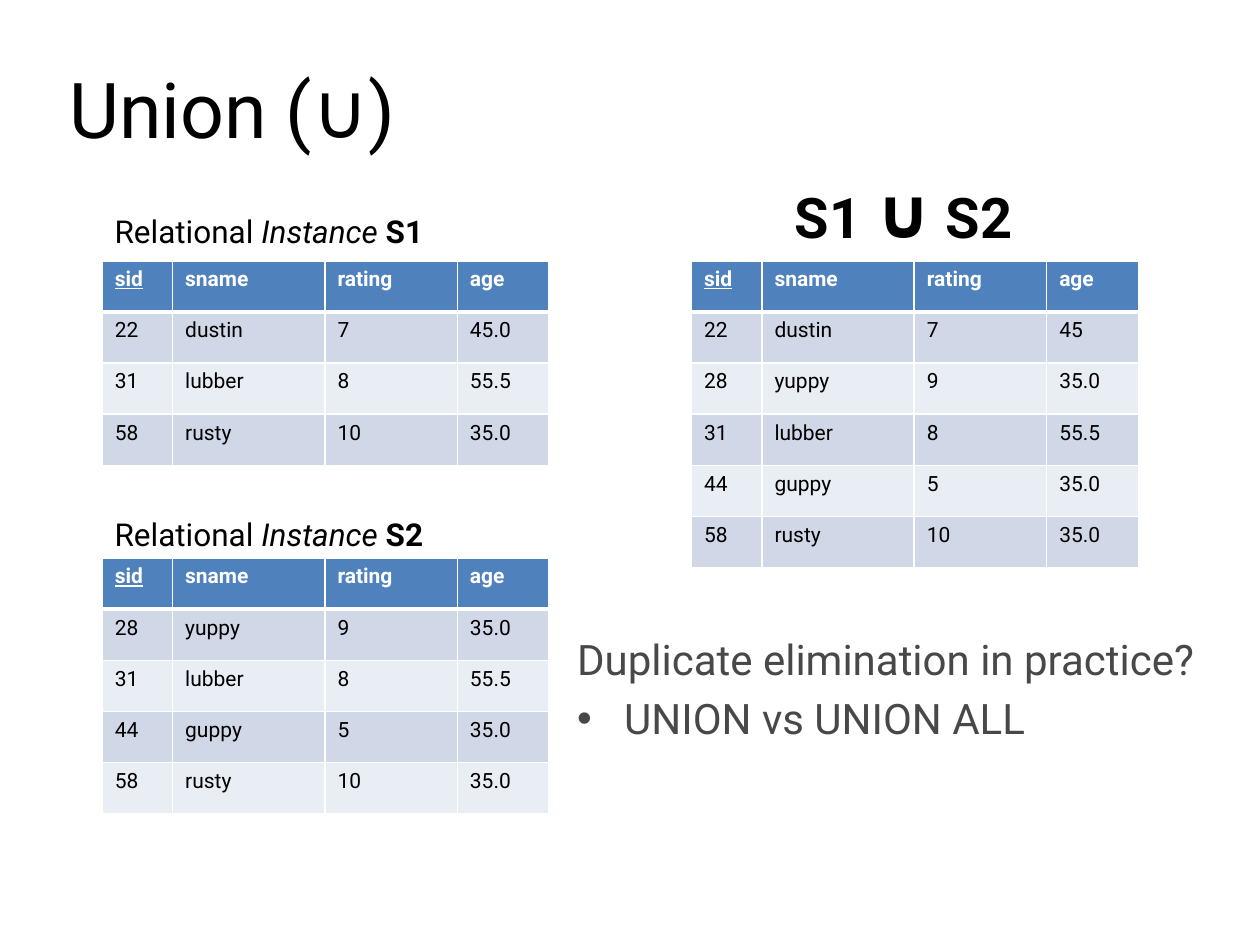
import dataclasses

import pptx
import pptx.dml.color
import pptx.enum.text
import pptx.oxml
import pptx.oxml.ns
import pptx.util

Cm = pptx.util.Cm
Pt = pptx.util.Pt


@dataclasses.dataclass(frozen=True)
class Theme:
    font: str = "Roboto"
    ink: str = "000000"
    muted: str = "484848"
    white: str = "FFFFFF"
    header: str = "4F81BD"
    bands: tuple = ("D0D8E8", "E9EDF4")
    title_size: int = 44
    symbol_size: int = 40
    heading_size: int = 32
    body_size: int = 24
    caption_size: int = 18
    cell_size: int = 12
    thin_line: int = 1
    thick_line: int = 3


THEME = Theme()
HEADINGS = ("sid", "sname", "rating", "age")
COLUMN_WIDTHS = (1.42, 3.07, 2.67, 1.85)
ROW_HEIGHT = 1.03

DUSTIN = ("22", "dustin", "7", "45.0")
YUPPY = ("28", "yuppy", "9", "35.0")
LUBBER = ("31", "lubber", "8", "55.5")
GUPPY = ("44", "guppy", "5", "35.0")
RUSTY = ("58", "rusty", "10", "35.0")
DUSTIN_IN_UNION = ("22", "dustin", "7", "45")


def rgb(value):
    return pptx.dml.color.RGBColor.from_string(value)


def add_span(para, text, size, color=THEME.ink, **formats):
    span = para.add_run()
    span.text = text
    span.font.color.rgb = rgb(color)
    formats = {"name": THEME.font, "size": Pt(size), "bold": False, **formats}
    for name, value in formats.items():
        setattr(span.font, name, value)


def place(shape, box):
    for name, value in zip(("left", "top", "width", "height"), box):
        setattr(shape, name, Cm(value))


def set_bullet(para, character=None, indent=0):
    """Give the paragraph a hanging bullet, or none."""
    properties = para._p.get_or_add_pPr()
    properties.set("marL", str(Cm(indent)))
    properties.set("indent", str(-Cm(indent)))
    tag = f'a:buChar char="{character}"' if character else "a:buNone"
    properties.append(pptx.oxml.parse_xml(
        f'<{tag} {pptx.oxml.ns.nsdecls("a")}/>'))


def set_borders(cell, bottom_width):
    properties = cell._tc.get_or_add_tcPr()
    for side in "LRTB":
        width = bottom_width if side == "B" else THEME.thin_line
        properties.append(pptx.oxml.parse_xml(
            f'<a:ln{side} {pptx.oxml.ns.nsdecls("a")} w="{Pt(width)}">'
            f'<a:solidFill><a:srgbClr val="{THEME.white}"/></a:solidFill>'
            f'</a:ln{side}>'))


def fill_title(page, box):
    title = page.shapes.title
    place(title, box)
    frame = title.text_frame
    frame.vertical_anchor = pptx.enum.text.MSO_ANCHOR.MIDDLE
    para = frame.paragraphs[0]
    para.alignment = pptx.enum.text.PP_ALIGN.LEFT
    add_span(para, "Union (∪)", THEME.title_size)


def fill_question(page, box):
    body = page.placeholders[1]
    place(body, box)
    frame = body.text_frame
    frame.auto_size = pptx.enum.text.MSO_AUTO_SIZE.NONE
    question = frame.paragraphs[0]
    set_bullet(question)
    add_span(question, "Duplicate elimination in practice?",
             THEME.body_size, THEME.muted)
    answer = frame.add_paragraph()
    set_bullet(answer, "•", 0.95)
    add_span(answer, "UNION vs UNION ALL", THEME.body_size, THEME.muted)


def add_label(page, box):
    """Add a one-line text box and return its paragraph."""
    label = page.shapes.add_textbox(*map(Cm, box))
    label.text_frame.word_wrap = False
    return label.text_frame.paragraphs[0]


def add_caption(page, box, instance):
    para = add_label(page, box)
    add_span(para, "Relational ", THEME.caption_size)
    add_span(para, "Instance ", THEME.caption_size, italic=True)
    add_span(para, instance, THEME.caption_size, bold=True)


def add_union_heading(page, box):
    para = add_label(page, box)
    add_span(para, "S1 ", THEME.heading_size, bold=True)
    add_span(para, "∪", THEME.symbol_size, bold=True)
    add_span(para, " ", THEME.heading_size)
    add_span(para, "S2", THEME.heading_size, bold=True)


def add_relation(page, left, top, records):
    rows = (HEADINGS, *records)
    box = (left, top, sum(COLUMN_WIDTHS), ROW_HEIGHT * len(rows))
    table = page.shapes.add_table(
        len(rows), len(HEADINGS), *map(Cm, box)).table
    for column, width in zip(table.columns, COLUMN_WIDTHS):
        column.width = Cm(width)
    for i, row in enumerate(rows):
        table.rows[i].height = Cm(ROW_HEIGHT)
        is_header = i == 0
        fill = THEME.header if is_header else THEME.bands[(i - 1) % 2]
        for j, text in enumerate(row):
            cell = table.cell(i, j)
            set_borders(cell, THEME.thick_line if is_header else THEME.thin_line)
            cell.fill.solid()
            cell.fill.fore_color.rgb = rgb(fill)
            add_span(cell.text_frame.paragraphs[0], text, THEME.cell_size,
                     THEME.white if is_header else THEME.ink,
                     bold=is_header, underline=is_header and j == 0)


def main():
    deck = pptx.Presentation()
    deck.slide_width, deck.slide_height = Cm(25.4), Cm(19.05)
    page = deck.slides.add_slide(deck.slide_layouts[1])

    left, right, upper, lower = 2.06, 13.94, 5.26, 11.25
    fill_title(page, (1.14, 0.13, 13.23, 4.09))
    add_relation(page, left, lower, (YUPPY, LUBBER, GUPPY, RUSTY))
    add_caption(page, (left, 10.26, 6.93, 1.02), "S2")
    add_relation(page, left, upper, (DUSTIN, LUBBER, RUSTY))
    add_caption(page, (left, 4.14, 6.93, 1.02), "S1")
    add_relation(page, right, upper,
                 (DUSTIN_IN_UNION, YUPPY, LUBBER, GUPPY, RUSTY))
    add_union_heading(page, (15.77, 3.28, 5.36, 1.96))
    fill_question(page, (11.38, 12.65, 13.46, 3.73))

    deck.save("out.pptx")


if __name__ == "__main__":
    main()
